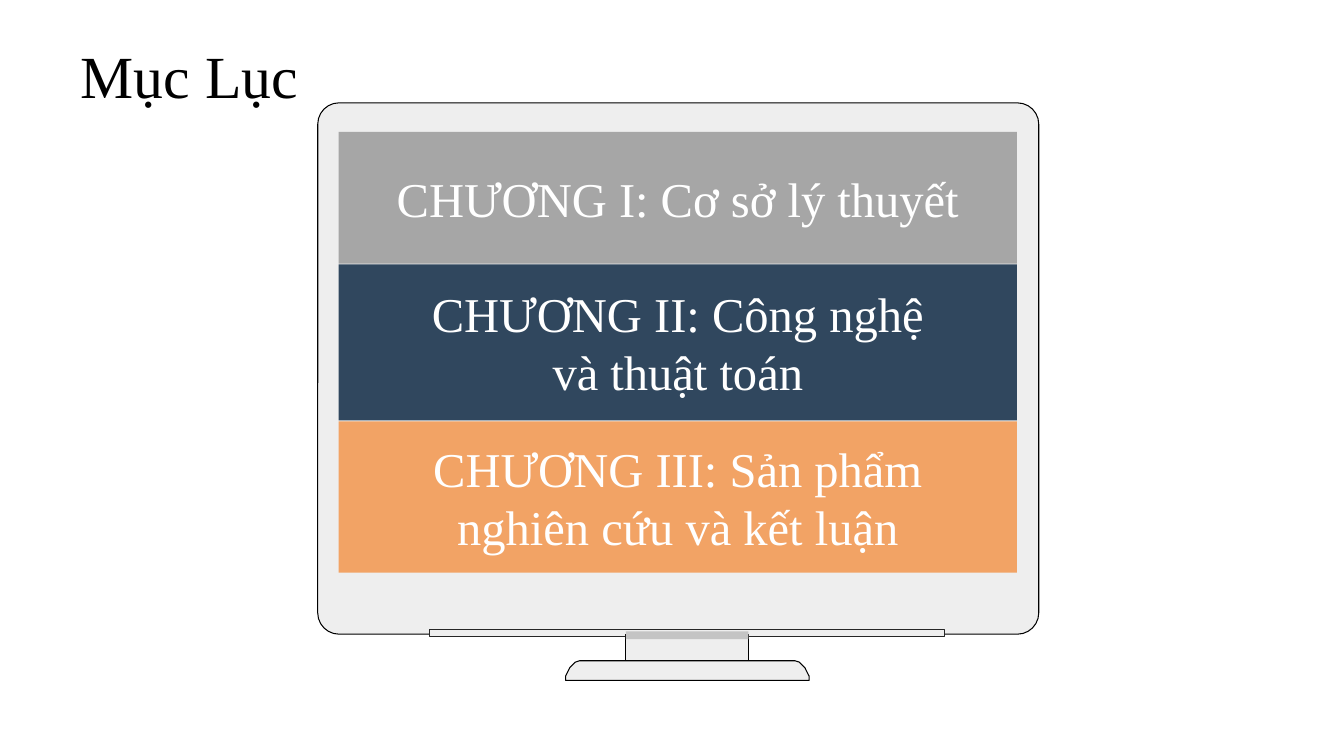
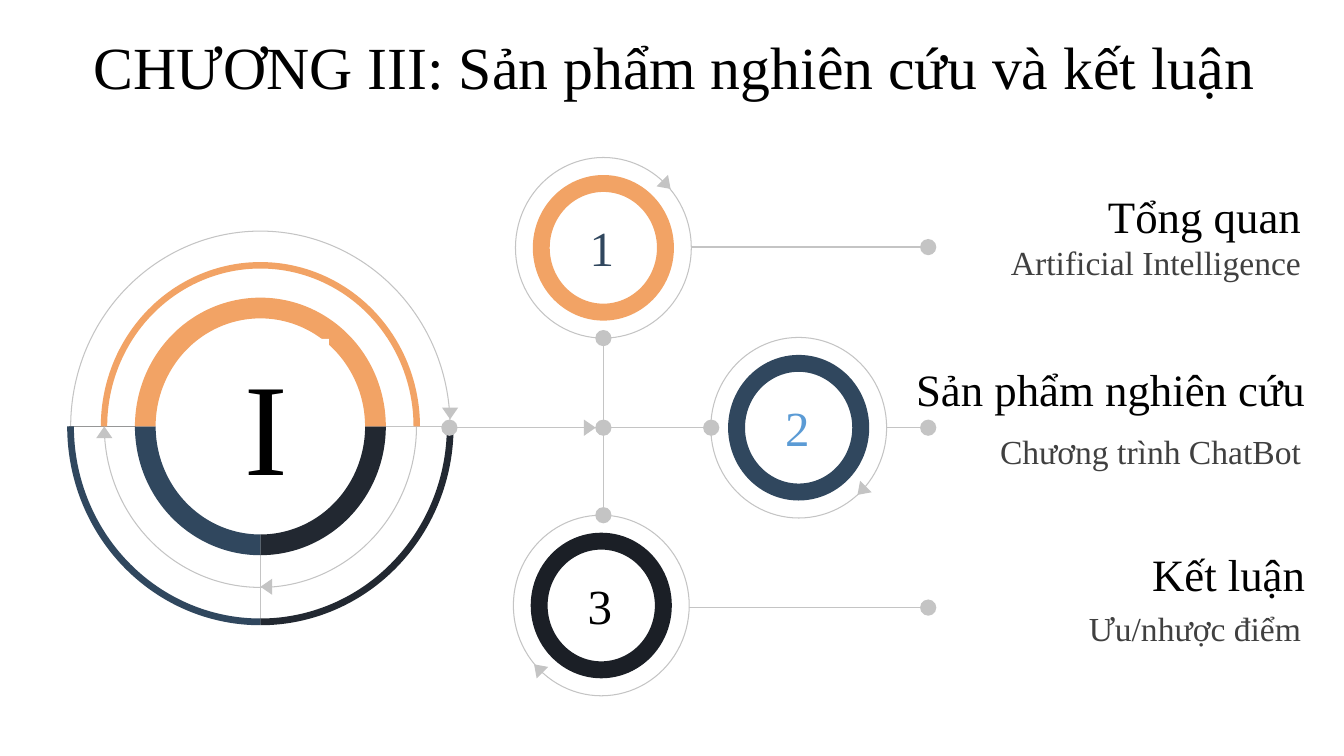
"""Build a contents slide and a chapter overview slide."""
import math

import pptx
import pptx.dml.color
import pptx.enum.shapes
import pptx.enum.text
import pptx.oxml.ns
import pptx.util
from lxml import etree

Pt = pptx.util.Pt
SHAPE = pptx.enum.shapes.MSO_SHAPE
ALIGN = pptx.enum.text.PP_ALIGN
BLACK, WHITE, SCREEN, GRAY = "000000", "FFFFFF", "EEEEEE", "C4C4C4"
NAVY, ORANGE, DARK, INK = "30475E", "F2A365", "222831", "1B1F26"


def rgb(value):
    return pptx.dml.color.RGBColor.from_string(value)


class Deck:
    font = "Times New Roman"
    frame = {
        "word_wrap": True,
        "auto_size": pptx.enum.text.MSO_AUTO_SIZE.NONE,
        "vertical_anchor": pptx.enum.text.MSO_ANCHOR.MIDDLE,
        **{f"margin_{side}": Pt(9.6) for side in ("left", "top", "right", "bottom")},
    }

    def __init__(self):
        self.prs = pptx.Presentation()
        self.prs.slide_width, self.prs.slide_height = Pt(960), Pt(540)
        self.s = None

    def slide(self, title, box, align):
        self.s = self.prs.slides.add_slide(self.prs.slide_layouts[5])
        sp = self.s.shapes.title
        for name, value in zip(("left", "top", "width", "height"), box):
            setattr(sp, name, Pt(value))
        self.label(sp, title, 42.7, BLACK, align)

    def label(self, sp, text, size, color, align=ALIGN.CENTER):
        tf = sp.text_frame
        for name, value in self.frame.items():
            setattr(tf, name, value)
        tf.text = text
        for p in tf.paragraphs:
            p.alignment = align
            for r in p.runs:
                for name, value in {"name": self.font, "size": Pt(size)}.items():
                    setattr(r.font, name, value)
                r.font.color.rgb = rgb(color)

    def text(self, x, y, w, h, text, size, color, align=ALIGN.CENTER):
        sp = self.s.shapes.add_textbox(Pt(x), Pt(y), Pt(w), Pt(h))
        self.label(sp, text, size, color, align)

    def paint(self, sp, fill, line=None, weight=0.75):
        sp.shadow.inherit = False
        if fill:
            sp.fill.solid()
            sp.fill.fore_color.rgb = rgb(fill)
        else:
            sp.fill.background()
        if line:
            sp.line.color.rgb = rgb(line)
            sp.line.width = Pt(weight)
        else:
            sp.line.fill.background()
        return sp

    def shape(self, kind, x, y, w, h, fill, line=None, adjust=()):
        sp = self.s.shapes.add_shape(kind, Pt(x), Pt(y), Pt(w), Pt(h))
        for i, value in enumerate(adjust):
            sp.adjustments[i] = value
        return self.paint(sp, fill, line)

    def outline(self, points, fill, line):
        builder = self.s.shapes.build_freeform(*points[0], scale=Pt(1))
        builder.add_line_segments(points[1:], close=True)
        return self.paint(builder.convert_to_shape(), fill, line)

    def round(self, kind, cx, cy, rx, ry, fill, line=None, adjust=()):
        return self.shape(kind, cx - rx, cy - ry, 2 * rx, 2 * ry, fill, line, adjust)

    def arc(self, cx, cy, rx, ry, start, end, thick, fill):
        adjust = (start * 0.6, end * 0.6, thick / (2 * rx))
        self.round(SHAPE.BLOCK_ARC, cx, cy, rx, ry, fill, adjust=adjust)

    def dot(self, cx, cy):
        self.round(SHAPE.OVAL, cx, cy, 5.8, 5.8, GRAY)

    def arrow(self, cx, cy, turn):
        sp = self.round(SHAPE.ISOSCELES_TRIANGLE, cx, cy, 5.8, 4.2, GRAY)
        sp.rotation = turn

    def line(self, x1, y1, x2, y2, color=GRAY, weight=1):
        cxn = self.s.shapes.add_connector(
            pptx.enum.shapes.MSO_CONNECTOR.STRAIGHT, Pt(x1), Pt(y1), Pt(x2), Pt(y2))
        cxn.line.color.rgb = rgb(color)
        cxn.line.width = Pt(weight)
        etree.SubElement(cxn._element.spPr, pptx.oxml.ns.qn("a:effectLst"))


def contents(deck):
    deck.slide("Mục Lục", (48, 33, 185, 41), ALIGN.LEFT)
    deck.shape(SHAPE.ROUNDED_RECTANGLE, 227, 73.5, 515, 379.5, SCREEN, BLACK, (0.04,))
    deck.shape(SHAPE.RECTANGLE, 307, 450, 368, 5, SCREEN, "262626")
    deck.shape(SHAPE.RECTANGLE, 447, 453, 87.5, 18.5, SCREEN, BLACK)
    angles = [math.radians(a) for a in range(0, 91, 10)]
    left = [(418.5 - 14.5 * math.cos(a), 486 - 14.5 * math.sin(a)) for a in angles]
    right = [(982 - x, y) for x, y in reversed(left)]
    deck.outline(left + right, SCREEN, BLACK)
    deck.shape(SHAPE.RECTANGLE, 447, 451, 87.5, 5.5, GRAY)
    chapters = (
        (94.3, 94, "A6A6A6", "CHƯƠNG I: Cơ sở lý thuyết"),
        (188.8, 111.5, NAVY, "CHƯƠNG II: Công nghệ\nvà thuật toán"),
        (301, 108, ORANGE, "CHƯƠNG III: Sản phẩm\nnghiên cứu và kết luận"),
    )
    for y, h, fill, text in chapters:
        sp = deck.shape(SHAPE.RECTANGLE, 242, y, 484.5, h, fill)
        deck.label(sp, text, 34.7, WHITE)


def wheel(deck, cx, cy):
    for rx, ry in ((135.5, 139.5), (111.5, 115)):
        deck.round(SHAPE.OVAL, cx, cy, rx, ry, None, GRAY)
    deck.line(cx + 90, cy, cx + 138, cy, weight=0.75)
    deck.line(cx, cy + 91, cx, cy + 141, weight=0.75)
    deck.line(cx - 137, cy, cx - 89, cy, "969797", 0.75)
    quarters = ((0, 90, DARK), (90, 180, NAVY))
    for start, end, fill in quarters:
        deck.arc(cx, cy, 138, 142, start, end, 4.8, fill)
    for start, end, fill in quarters + ((180, 0, ORANGE),):
        deck.arc(cx, cy, 89.6, 92, start, end, 14.8, fill)
    deck.arc(cx, cy, 114, 117.4, 180, 0, 4.6, ORANGE)
    for dx, dy, turn in ((135.5, -9.3, 180), (-111.5, 4.2, 0), (4.3, 114.5, 270)):
        deck.arrow(cx + dx, cy + dy, turn)


def overview(deck):
    deck.slide("CHƯƠNG III: Sản phẩm nghiên cứu và kết luận",
               (47, 25, 870, 43), ALIGN.CENTER)
    mid, stem, end = 305.5, 431, 663
    wheel(deck, 186, 304.6)
    deck.line(326, mid, 508, mid)
    deck.line(stem, 240, stem, 370)
    nodes = (
        (431, 177, ORANGE, "1", NAVY, 1, -1, 135),
        (570.5, mid, NAVY, "2", "5B9BD5", 1, 1, 225),
        (429.5, 432.5, INK, "3", BLACK, -1, 1, 315),
    )
    for cx, cy, fill, number, color, dx, dy, turn in nodes:
        deck.round(SHAPE.OVAL, cx, cy, 62.8, 64.5, None, GRAY)
        deck.round(SHAPE.DONUT, cx, cy, 50.4, 52, fill, adjust=(0.12,))
        deck.arrow(cx + 45 * dx, cy + 45 * dy, turn)
        deck.text(cx - 26, cy - 25, 50, 49, number, 35, color)
    for x, y in ((321, mid), (stem, mid), (508, mid), (stem, 241.5), (stem, 368)):
        deck.dot(x, y)
    deck.arrow(421.3, mid, 90)
    topics = (
        (494, 176.5, 939, 154, "Tổng quan", 187, "Artificial Intelligence"),
        (633, mid, 942, 277.5, "Sản phẩm nghiên cứu", 322, "Chương trình ChatBot"),
        (492, 434, 942, 409.5, "Kết luận", 448.5, "Ưu/nhược điểm"),
    )
    for x, y, right, head_y, head, note_y, note in topics:
        deck.line(x, y, end, y)
        deck.dot(end, y)
        for edge, cy, text, size, color in ((right, head_y, head, 32, BLACK),
                                            (939, note_y, note, 24, "404040")):
            deck.text(edge - 305, cy - 20, 305, 40, text, size, color, ALIGN.RIGHT)
    sp = deck.shape(SHAPE.RECTANGLE, 146, 242, 89, 120, WHITE)
    deck.label(sp, "I", 93.3, BLACK)


def main():
    deck = Deck()
    contents(deck)
    overview(deck)
    deck.prs.save("out.pptx")


if __name__ == "__main__":
    main()
